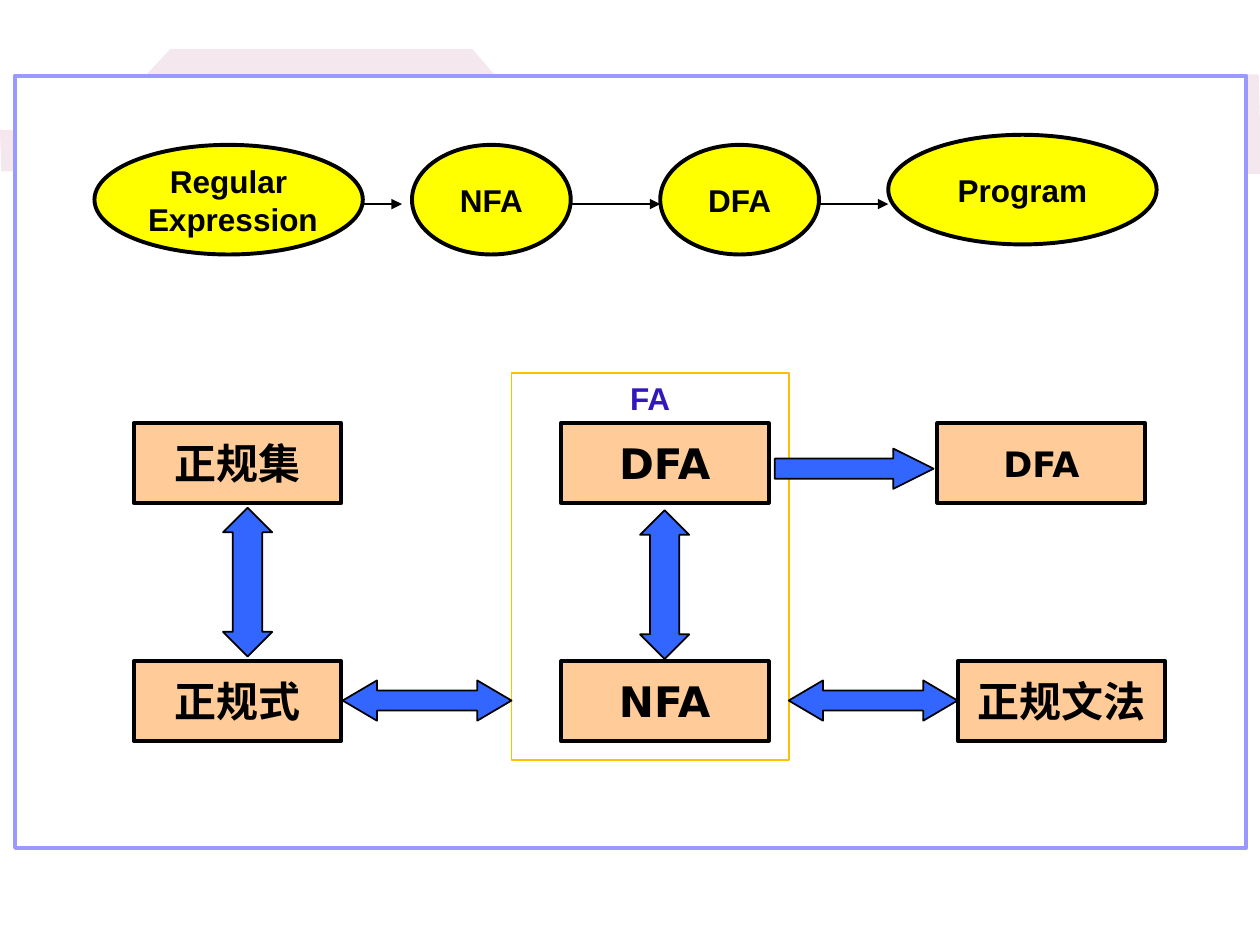
from pptx import Presentation
from pptx.dml.color import RGBColor
from pptx.enum.shapes import MSO_CONNECTOR, MSO_SHAPE
from pptx.enum.text import MSO_ANCHOR, PP_ALIGN
from pptx.oxml.ns import qn
from pptx.util import Pt
from lxml import etree

PX = 9144  # EMU in one px, 100 px to the inch
RECT, OVAL = MSO_SHAPE.RECTANGLE, MSO_SHAPE.OVAL
WIDE, TALL = MSO_SHAPE.LEFT_RIGHT_ARROW, MSO_SHAPE.UP_DOWN_ARROW
RIGHT = MSO_SHAPE.RIGHT_ARROW
TOP, MIDDLE = MSO_ANCHOR.TOP, MSO_ANCHOR.MIDDLE
CENTER, STRAIGHT = PP_ALIGN.CENTER, MSO_CONNECTOR.STRAIGHT

COLORS = {
    "white": "FFFFFF", "black": "000000", "band": "F4E7ED",
    "frame": "9999FF", "gold": "FFC000", "title": "3217BB",
    "peach": "FFCC99", "blue": "3366FF", "yellow": "FFFF00",
}


class Board:
    def __init__(self, slide):
        self.shapes = slide.shapes

    def color(self, name):
        return RGBColor.from_string(COLORS[name])

    def paint(self, shape, fill, line=None, width=1):
        shape.shadow.inherit = False
        shape.fill.solid()
        shape.fill.fore_color.rgb = self.color(fill)
        if line:
            shape.line.color.rgb = self.color(line)
            shape.line.width = Pt(width)
        else:
            shape.line.fill.background()

    def shape(self, kind, box, fill, line="black", width=2.25):
        item = self.shapes.add_shape(kind, *(n * PX for n in box))
        self.paint(item, fill, line, width)
        return item

    def band(self, points):
        pen = self.shapes.build_freeform(*points[0], scale=PX)
        pen.add_line_segments(points[1:], close=True)
        self.paint(pen.convert_to_shape(), "band")

    def text(self, shape, text, size=18, font="Arial", color="black", anchor=MIDDLE):
        frame = shape.text_frame
        frame.word_wrap = False
        frame.vertical_anchor = anchor
        frame.text = text
        for para in frame.paragraphs:
            para.alignment = CENTER
            para.font.size = Pt(size)
            para.font.name = font
            para.font.bold = True
            para.font.color.rgb = self.color(color)

    def oval(self, left, top, width, text):
        self.text(self.shape(OVAL, (left, top, width, 87), "yellow"), text)

    def block(self, left, top, text, size=24):
        item = self.shape(RECT, (left, top, 165, 63), "peach")
        self.text(item, text, size, "DejaVu Sans")

    def arrow(self, kind, box, head):
        item = self.shape(kind, box, "blue", width=1)
        item.adjustments[0] = 0.5
        item.adjustments[1] = head

    def link(self, start, end, y):
        line = self.shapes.add_connector(
            STRAIGHT, start * PX, y * PX, end * PX, y * PX)
        line.line.color.rgb = self.color("black")
        line.line.width = Pt(0.75)
        etree.SubElement(line.line._get_or_add_ln(), qn("a:tailEnd"), type="triangle")
        etree.SubElement(line._element.spPr, qn("a:effectLst"))


def main():
    deck = Presentation()
    deck.slide_width, deck.slide_height = 1000 * PX, 750 * PX
    board = Board(deck.slides.add_slide(deck.slide_layouts[6]))

    board.band([(0, 103), (76, 103), (135, 39), (375, 39),
                (393, 60), (999, 59), (1001, 138), (1, 136)])
    board.shape(RECT, (12, 60, 977, 613), "white", "frame")
    group = board.shape(RECT, (406, 296, 220, 307), "white", "gold", 1)
    board.text(group, "FA", color="title", anchor=TOP)

    upper, lower = 336, 525
    for left, top, text in [
        (106, upper, "正规集"), (106, lower, "正规式"),
        (445, upper, "DFA"), (445, lower, "NFA"),
        (760, lower, "正规文法"),
    ]:
        board.block(left, top, text)
    board.block(744, upper, "DFA", 20)

    for left in (272, 626):
        board.arrow(WIDE, (left, 540, 134, 32), 0.85)
    for left, top in [(177, 403), (508, 405)]:
        board.arrow(TALL, (left, top, 39, 118), 0.6)
    board.arrow(RIGHT, (615, 356, 126, 32), 1)

    for left, top, width, text in [
        (75, 115, 213, "Regular\n Expression"), (327, 115, 126, "NFA"),
        (524, 115, 126, "DFA"), (705, 107, 213, "Program"),
    ]:
        board.oval(left, top, width, text)
    for start, end in [(288, 319), (453, 524), (650, 705)]:
        board.link(start, end, 162)

    deck.save("out.pptx")


if __name__ == "__main__":
    main()
